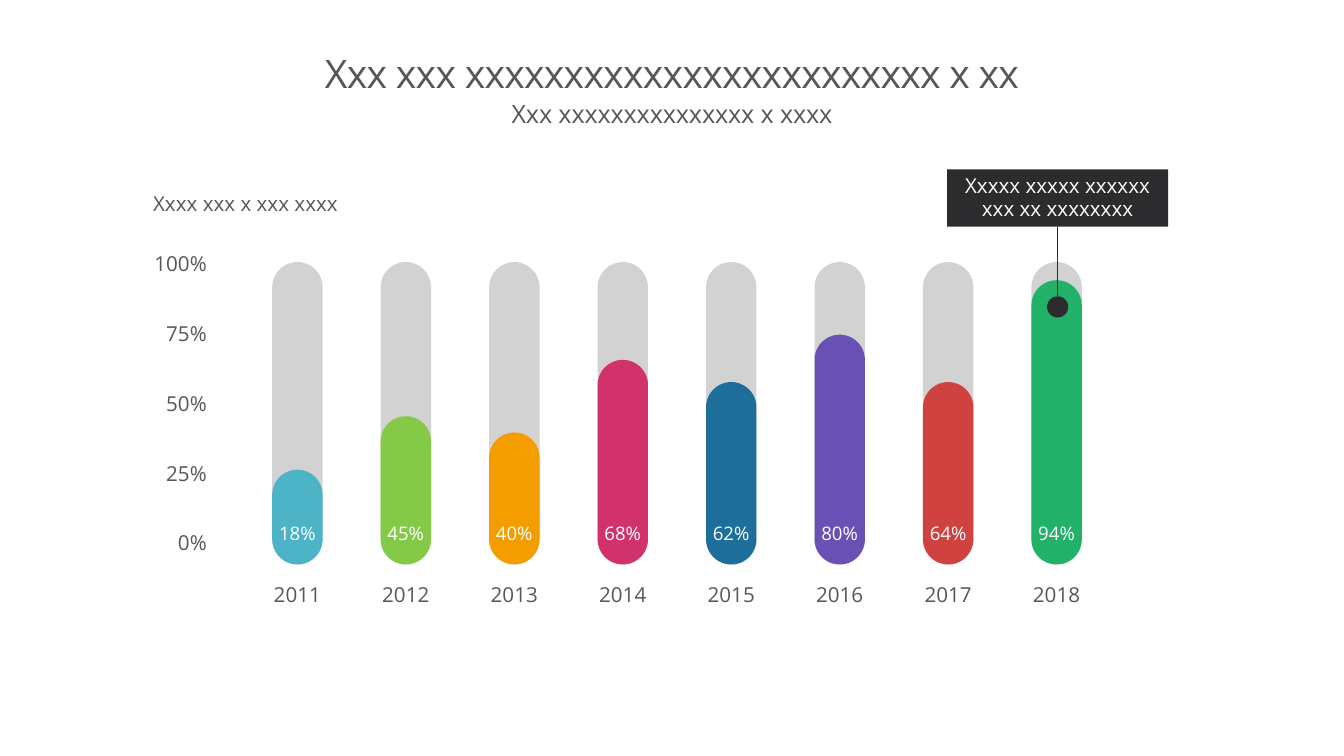
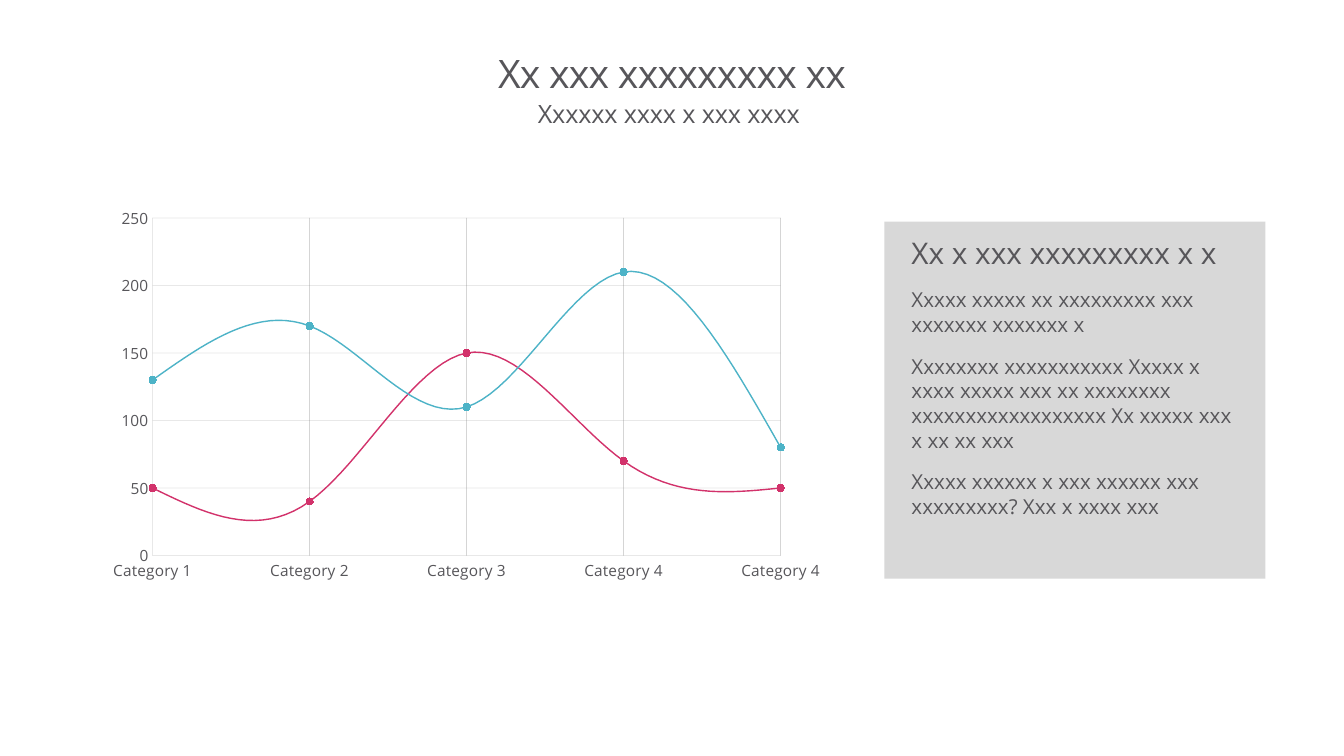
from dataclasses import dataclass

from lxml.etree import SubElement
from pptx import Presentation
from pptx.chart.data import CategoryChartData
from pptx.dml.color import RGBColor
from pptx.enum.chart import XL_CHART_TYPE as ChartType, XL_MARKER_STYLE as Marker, XL_TICK_MARK as Tick
from pptx.enum.shapes import MSO_CONNECTOR as Connector, MSO_SHAPE as Shape
from pptx.enum.text import MSO_ANCHOR as Anchor, MSO_AUTO_SIZE as AutoSize, PP_ALIGN as Align
from pptx.oxml.ns import qn
from pptx.util import Inches, Pt


@dataclass(frozen=True)
class Theme:
    font: str = "Open Sans"
    text: str = "57565A"
    white: str = "FFFFFF"
    dark: str = "2C2B2D"
    track: str = "A6A6A6"
    neutral: str = "7F7F7F"
    teal: str = "4DB3C7"
    pink: str = "D2326B"
    title: float = 28
    subtitle: float = 18
    heading: float = 21.3
    body: float = 14.7
    value: float = 13.3
    axis: float = 11


THEME = Theme()
WIDTH, HEIGHT = 13.33, 7.5
MARGIN = 1
DEFAULT_INSETS = (0.1, 0.05)

BAR_TITLE = "Xxx xxx xxxxxxxxxxxxxxxxxxxxxxxx x xx"
BAR_SUBTITLE = "Xxx xxxxxxxxxxxxxxx x xxxx"
BAR_CAPTION = "Xxxx xxx x xxx xxxx"
BAR_CALLOUT = "Xxxxx xxxxx xxxxxx xxx xx xxxxxxxx"
SCALE = ["100%", "75%", "50%", "25%", "0%"]
BARS = [
    ("2011", "18%", 0.94, THEME.teal),
    ("2012", "45%", 1.47, "85CA46"),
    ("2013", "40%", 1.31, "F49D00"),
    ("2014", "68%", 2.03, THEME.pink),
    ("2015", "62%", 1.81, "1D6E9B"),
    ("2016", "80%", 2.28, "6850B4"),
    ("2017", "64%", 1.81, "CF423F"),
    ("2018", "94%", 2.82, "21B169"),
]

LINE_TITLE = "Xx xxx xxxxxxxxx xx"
LINE_SUBTITLE = "Xxxxxx xxxx x xxx xxxx "
CATEGORIES = ["Category 1", "Category 2", "Category 3", "Category 4", "Category 4"]
SERIES = [
    ("Series 1", (50, 40, 150, 70, 50), THEME.pink),
    ("Series 2", (130, 170, 110, 210, 80), THEME.teal),
]
PLOT_SHARES = {"x": 0.07, "y": 0.05, "w": 0.85, "h": 0.87}
PANEL_HEADING = "Xx x xxx xxxxxxxxx x x"
PANEL_PARAGRAPHS = [
    "Xxxxx xxxxx xx xxxxxxxxx xxx xxxxxxx xxxxxxx x",
    "Xxxxxxxx xxxxxxxxxxx Xxxxx x xxxx xxxxx xxx xx xxxxxxxx xxxxxxxxxxxxxxxxxx Xx xxxxx xxx x xx xx xxx",
    "Xxxxx xxxxxx x xxx xxxxxx xxx xxxxxxxxx? Xxx x xxxx xxx",
]


def rgb(color):
    return RGBColor.from_string(color)


def fade(element, share):
    for color in element.iter(qn("a:srgbClr")):
        SubElement(color, qn("a:alpha")).set("val", str(round(share * 100000)))


def style(paragraph, size, color=THEME.text, align=Align.LEFT, spacing=None, after=0, tracking=None):
    paragraph.alignment = align
    paragraph.space_before = Pt(0)
    paragraph.space_after = Pt(after)
    if spacing:
        paragraph.line_spacing = spacing
    font = paragraph.font
    font.name, font.size = THEME.font, Pt(size)
    font.color.rgb = rgb(color)
    if tracking:
        paragraph._p.pPr.find(qn("a:defRPr")).set("spc", str(round(tracking * 100)))


def set_frame(shape, anchor=Anchor.TOP, insets=DEFAULT_INSETS, wrap=True):
    frame = shape.text_frame
    frame.auto_size = AutoSize.NONE
    frame.word_wrap = wrap
    frame.vertical_anchor = anchor
    frame.margin_left = frame.margin_right = Inches(insets[0])
    frame.margin_top = frame.margin_bottom = Inches(insets[1])
    return frame


def write(shape, text, size, color=THEME.text, align=Align.LEFT, spacing=0.95, tracking=None, **frame_options):
    frame = set_frame(shape, **frame_options)
    frame.text = text
    style(frame.paragraphs[0], size, color, align, spacing, tracking=tracking)


def add_label(slide, box, text, size=THEME.body, **options):
    write(slide.shapes.add_textbox(*map(Inches, box)), text, size, **options)


def add_block(slide, kind, box, color, opacity=1):
    block = slide.shapes.add_shape(kind, *map(Inches, box))
    block.shadow.inherit = False
    block.fill.solid()
    block.fill.fore_color.rgb = rgb(color)
    block.line.fill.background()
    if opacity < 1:
        fade(block._element.spPr, opacity)
    return block


def add_pill(slide, box, color, opacity=1):
    pill = add_block(slide, Shape.ROUNDED_RECTANGLE, box, color, opacity)
    pill.adjustments[0] = 0.5
    return pill


def add_titled_slide(deck, title, subtitle):
    slide = deck.slides.add_slide(deck.slide_layouts[5])
    span = WIDTH - 2 * MARGIN
    heading = slide.shapes.title
    heading.left, heading.top, heading.width, heading.height = map(Inches, (MARGIN, 0.31, span, 0.89))
    shared = {"align": Align.CENTER, "spacing": 0.86, "insets": (0, 0)}
    write(heading, title, THEME.title, tracking=-0.5, anchor=Anchor.MIDDLE, **shared)
    add_label(slide, (MARGIN, 1.02, span, 0.44), subtitle, THEME.subtitle, tracking=-0.1, **shared)
    return slide


def add_bar_slide(deck):
    slide = add_titled_slide(deck, BAR_TITLE, BAR_SUBTITLE)
    first, last, bar_width = 2.7, 10.23, 0.5
    track_top, track_height = 2.6, 3
    base = track_top + track_height
    pitch = (last - first) / (len(BARS) - 1)
    for column, (year, value, height, color) in enumerate(BARS):
        left = first + column * pitch
        add_pill(slide, (left, track_top, bar_width, track_height), THEME.track, 0.5)
        bar = add_pill(slide, (left, base - height, bar_width, height), color)
        write(bar, value, THEME.value, THEME.white, Align.CENTER, None,
              anchor=Anchor.BOTTOM, insets=(0.1, 0.13), wrap=False)
        add_label(slide, (left, 5.74, bar_width, 0.37), year, align=Align.CENTER, wrap=False)

    scale_top, scale_bottom = 2.46, 5.23
    step = (scale_bottom - scale_top) / (len(SCALE) - 1)
    for row, mark in enumerate(SCALE):
        add_label(slide, (1.22, scale_top + row * step, 0.93, 0.34), mark, align=Align.RIGHT)
    add_label(slide, (1.42, 1.86, 2.56, 0.34), BAR_CAPTION)

    center, callout_width, dot_size = last + bar_width / 2 + 0.01, 2.19, 0.21
    callout = add_block(slide, Shape.RECTANGLE,
                        (center - callout_width / 2, 1.68, callout_width, 0.57), THEME.dark)
    write(callout, BAR_CALLOUT, THEME.body, THEME.white, Align.CENTER)
    dot = add_block(slide, Shape.OVAL, (center - dot_size / 2, 2.94, dot_size, dot_size), THEME.dark)
    leader = slide.shapes.add_connector(Connector.STRAIGHT, 0, 0, 0, 0)
    leader.begin_connect(dot, 0)
    leader.end_connect(callout, 2)
    leader.line.color.rgb = rgb(THEME.dark)
    leader.line.width = Pt(0.75)
    SubElement(leader._element.spPr, qn("a:effectLst"))


def style_axis(axis):
    axis.major_tick_mark = axis.minor_tick_mark = Tick.NONE
    axis.format.line.fill.background()
    axis.has_major_gridlines = True
    grid = axis.major_gridlines.format.line
    grid.color.rgb = rgb(THEME.neutral)
    grid.width = Pt(0.25)
    fade(axis._element.find(qn("c:majorGridlines")), 0.5)


def cross_at_categories(axis):
    unit = axis._element.find(qn("c:majorUnit"))
    crossing = unit.makeelement(qn("c:crossBetween"), {"val": "midCat"})
    unit.addprevious(crossing)


def place_plot(chart):
    plot_area = chart._chartSpace.chart.plotArea
    layout = plot_area.find(qn("c:layout"))
    if layout is None:
        layout = plot_area.makeelement(qn("c:layout"))
        plot_area.insert(0, layout)
    manual = SubElement(layout, qn("c:manualLayout"))
    settings = [("layoutTarget", "inner"), ("xMode", "edge"), ("yMode", "edge"), *PLOT_SHARES.items()]
    for tag, setting in settings:
        SubElement(manual, qn(f"c:{tag}")).set("val", str(setting))


def add_line_chart(slide, box):
    data = CategoryChartData()
    data.categories = CATEGORIES
    for name, values, _ in SERIES:
        data.add_series(name, values)
    chart = slide.shapes.add_chart(ChartType.LINE_MARKERS, *map(Inches, box), data).chart
    chart.has_legend = chart.has_title = False
    chart.font.name, chart.font.size = THEME.font, Pt(THEME.axis)
    chart.font.color.rgb = rgb(THEME.text)
    chart.plots[0].vary_by_categories = False
    for axis in (chart.category_axis, chart.value_axis):
        style_axis(axis)
    scale = chart.value_axis
    scale.minimum_scale, scale.maximum_scale, scale.major_unit = 0, 250, 50
    cross_at_categories(scale)
    place_plot(chart)
    for line, (_, _, color) in zip(chart.plots[0].series, SERIES):
        line.smooth = True
        line.format.line.color.rgb = rgb(color)
        line.format.line.width = Pt(1)
        line.marker.style, line.marker.size = Marker.CIRCLE, 5
        line.marker.format.fill.solid()
        line.marker.format.fill.fore_color.rgb = rgb(color)
        line.marker.format.line.color.rgb = rgb(color)


def add_line_slide(deck):
    slide = add_titled_slide(deck, LINE_TITLE, LINE_SUBTITLE)
    add_line_chart(slide, (MARGIN, 1.97, 7.33, 3.85))
    panel = add_block(slide, Shape.RECTANGLE, (8.77, 2.2, 3.78, 3.54), THEME.neutral, 0.3)
    frame = set_frame(panel, insets=(0.27, 0.13))
    frame.text = "\n".join([PANEL_HEADING, *PANEL_PARAGRAPHS])
    for row, paragraph in enumerate(frame.paragraphs):
        style(paragraph, THEME.body if row else THEME.heading, after=12)


def main():
    deck = Presentation()
    deck.slide_width, deck.slide_height = Inches(WIDTH), Inches(HEIGHT)
    add_bar_slide(deck)
    add_line_slide(deck)
    deck.save("out.pptx")


if __name__ == "__main__":
    main()
